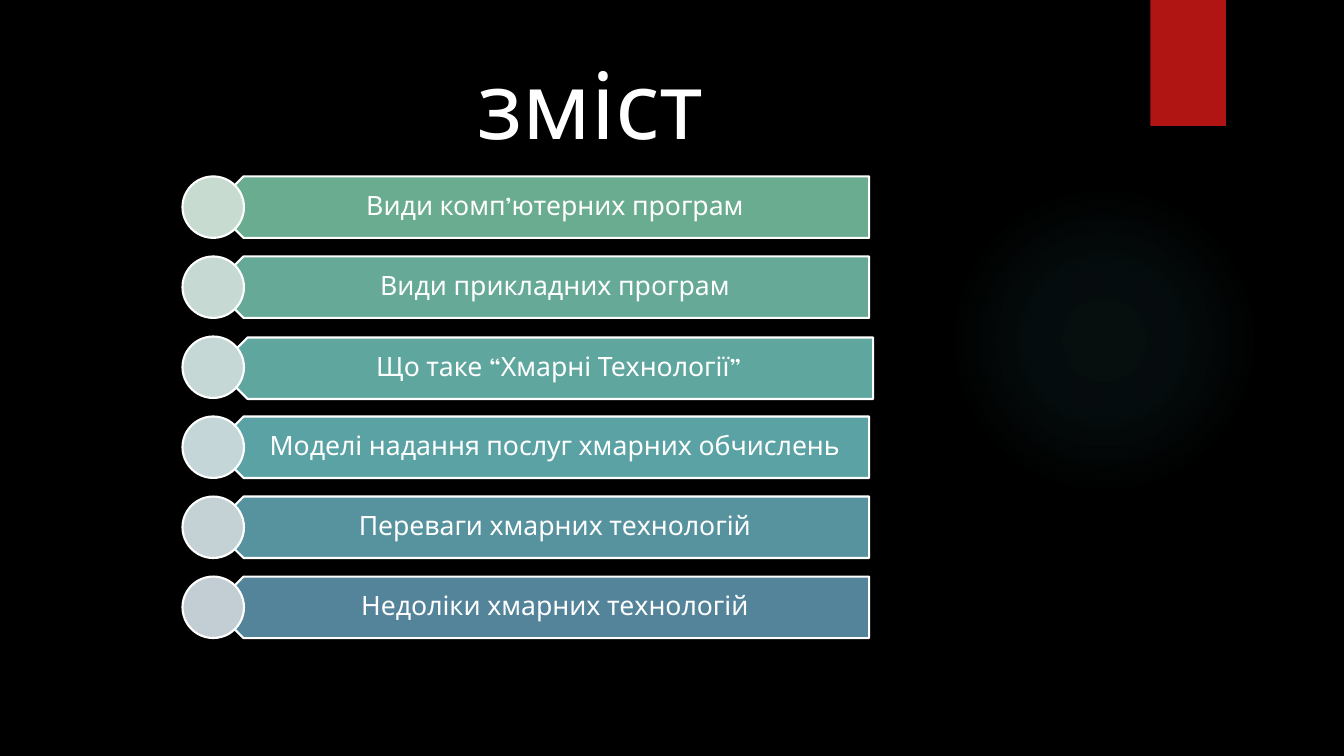
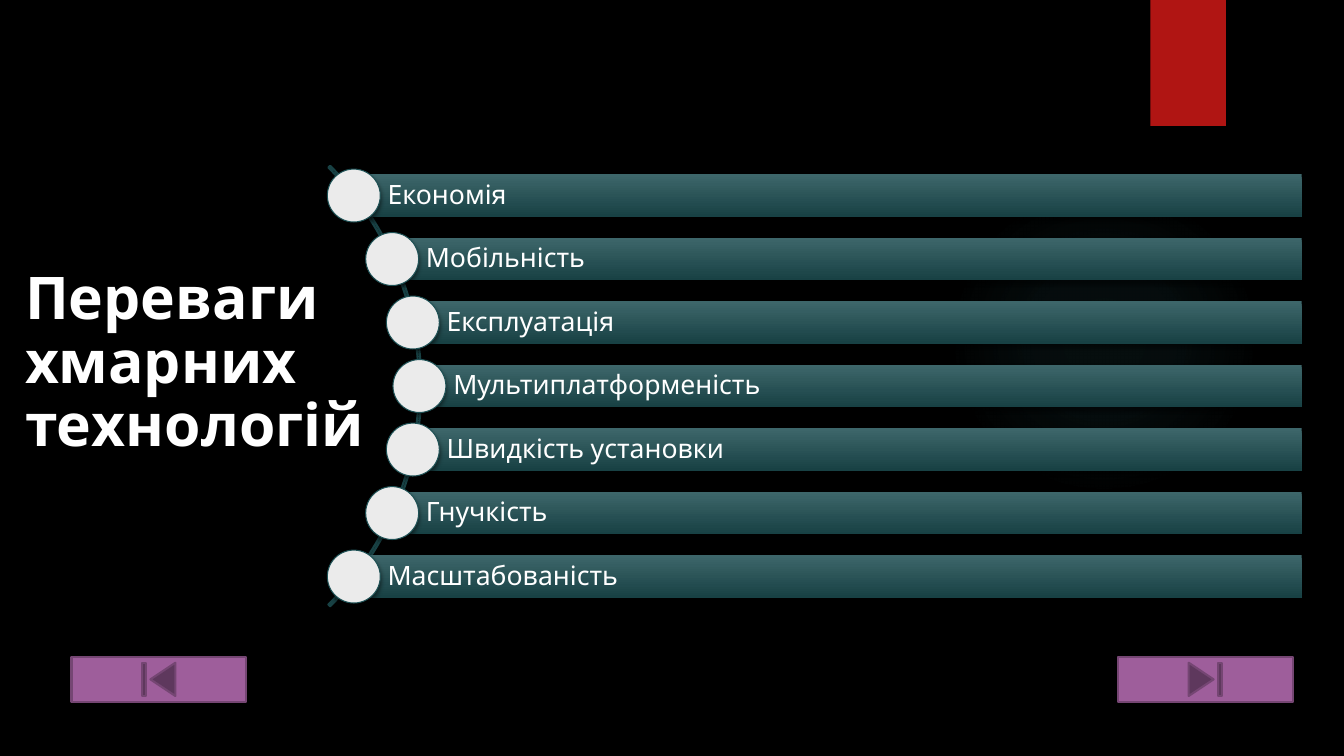
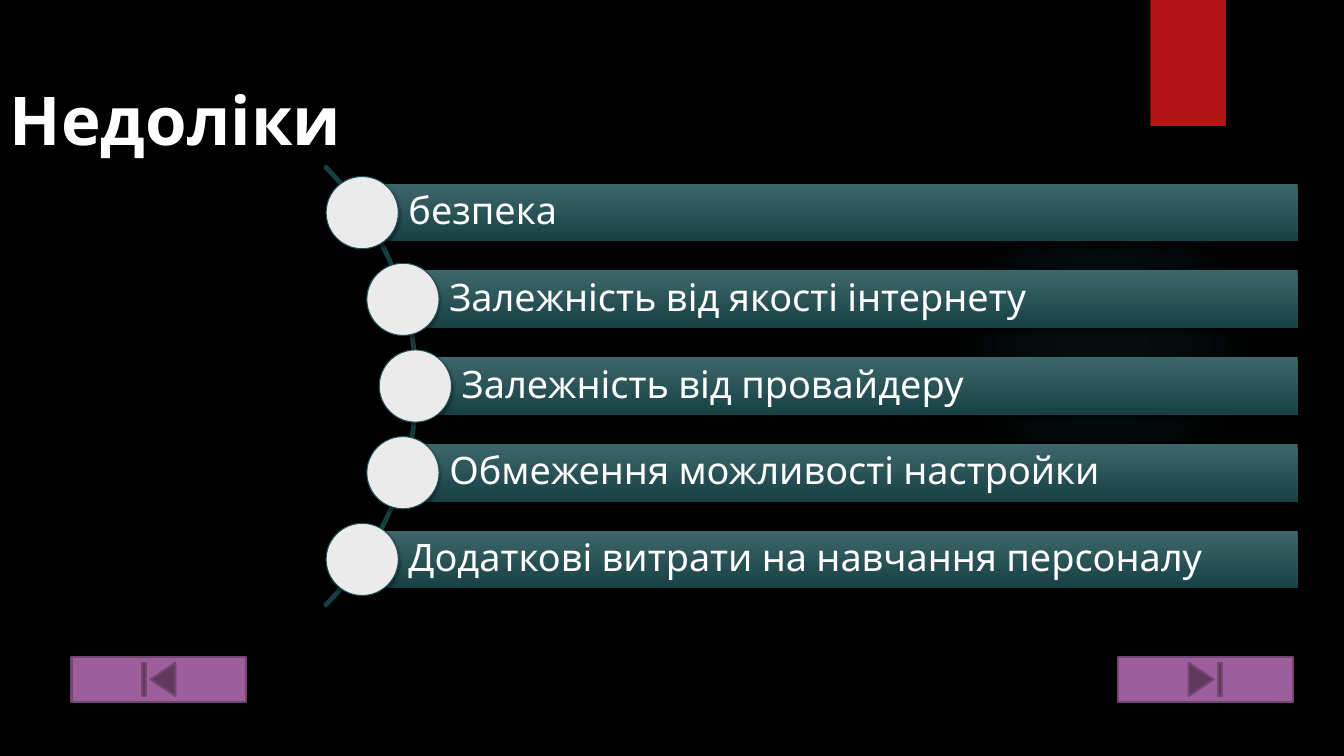
"""Build three dark slides on cloud technologies: contents, advantages and drawbacks."""
import math

import lxml.etree
import pptx
import pptx.dml.color
import pptx.enum.shapes
import pptx.enum.text
import pptx.oxml.ns
import pptx.util

RGB = pptx.dml.color.RGBColor
KIND = pptx.enum.shapes.MSO_SHAPE
ALIGN = pptx.enum.text.PP_ALIGN
ANCHOR = pptx.enum.text.MSO_ANCHOR
Inches, Pt, qn = pptx.util.Inches, pptx.util.Pt, pptx.oxml.ns.qn

FONT = "League Spartan"
BLACK = RGB(0x00, 0x00, 0x00)
WHITE = RGB(0xFF, 0xFF, 0xFF)
RED = RGB(0xB0, 0x15, 0x13)
GLOW = RGB(0x50, 0xB9, 0xC1)
BAR_TOP = RGB(0x3D, 0x66, 0x6A)
BAR_BOTTOM = RGB(0x18, 0x41, 0x44)
DOT = RGB(0xEB, 0xEB, 0xEB)
DOT_EDGE = RGB(0x1E, 0x51, 0x55)
BUTTON = RGB(0x9E, 0x5E, 0x9B)
BUTTON_EDGE = RGB(0x75, 0x46, 0x73)

CONTENTS_TITLE = "зміст"
CONTENTS = [
    ("Види комп’ютерних програм", RGB(0x6A, 0xAC, 0x90), RGB(0xC7, 0xDB, 0xD1), 0),
    ("Види прикладних програм", RGB(0x65, 0xA9, 0x96), RGB(0xC6, 0xD9, 0xD3), 0),
    ("Що таке “Хмарні Технології”", RGB(0x5F, 0xA7, 0x9E), RGB(0xC5, 0xD8, 0xD6), 0.04),
    ("Моделі надання послуг хмарних обчислень", RGB(0x5A, 0xA2, 0xA4), RGB(0xC4, 0xD6, 0xD7), 0),
    ("Переваги хмарних технологій", RGB(0x57, 0x93, 0x9F), RGB(0xC4, 0xD2, 0xD6), 0),
    ("Недоліки хмарних технологій", RGB(0x54, 0x84, 0x9A), RGB(0xC3, 0xCE, 0xD4), 0),
]
CURVED_LISTS = [
    dict(title="Переваги хмарних технологій", title_at=(0.15, 2.58), title_size=42,
         arc_left=-2, pitch=0.63, size=19,
         items=["Економія", "Мобільність", "Експлуатація", "Мультиплатформеність",
                "Швидкість установки", "Гнучкість", "Масштабованість"]),
    dict(title="Недоліки", title_at=(0, 0.78), title_size=48,
         arc_left=-2.04, pitch=0.86, size=27,
         items=["безпека", "Залежність від якості інтернету", "Залежність від провайдеру",
                "Обмеження можливості настройки", "Додаткові витрати на навчання персоналу"]),
]
NAVIGATION = [(KIND.ACTION_BUTTON_END, 11.09), (KIND.ACTION_BUTTON_BEGINNING, 0.71)]


def draw(slide, kind, box, fill=None, edge=None, edge_width=1.5, shadow=False):
    shape = slide.shapes.add_shape(kind, *map(Inches, box))
    shape.shadow.inherit = False
    if isinstance(fill, tuple) and not isinstance(fill, RGB):
        shape.fill.gradient()
        shape.fill.gradient_angle = 270
        for stop, colour in zip(shape.fill.gradient_stops, fill):
            stop.color.rgb = colour
    elif fill is None:
        shape.fill.background()
    else:
        shape.fill.solid()
        shape.fill.fore_color.rgb = fill
    if edge is None:
        shape.line.fill.background()
    else:
        shape.line.color.rgb = edge
        shape.line.width = Pt(edge_width)
    if shadow:
        effects = shape._element.spPr.find(qn("a:effectLst"))
        outer = lxml.etree.SubElement(effects, qn("a:outerShdw"), blurRad=str(Pt(3)),
                                      dist=str(Pt(2)), dir="5400000", rotWithShape="0")
        tint = lxml.etree.SubElement(outer, qn("a:srgbClr"), val=str(BLACK))
        lxml.etree.SubElement(tint, qn("a:alpha"), val="45000")
    return shape


def write(shape, text, *, size, bold=False, align=ALIGN.LEFT, anchor=ANCHOR.MIDDLE,
          insets=(0.1, 0.05, 0.1, 0.05)):
    frame = shape.text_frame
    frame.word_wrap = True
    frame.vertical_anchor = anchor
    (frame.margin_left, frame.margin_top,
     frame.margin_right, frame.margin_bottom) = map(Inches, insets)
    paragraph = frame.paragraphs[0]
    paragraph.alignment = align
    paragraph.line_spacing = 0.9
    run = paragraph.add_run()
    run.text = text
    run.font.name, run.font.size, run.font.bold = FONT, Pt(size), bold
    run.font.color.rgb = WHITE


def add_glow(slide):
    glow = draw(slide, KIND.OVAL, (9.41, 1.83, 3.08, 3.08), (GLOW, GLOW))
    gradient = glow._element.spPr.find(qn("a:gradFill"))
    for part in list(gradient):
        gradient.remove(part)
    stops = lxml.etree.SubElement(gradient, qn("a:gsLst"))
    for position, opacity in [(0, 7), (36, 6), (69, 0)]:
        stop = lxml.etree.SubElement(stops, qn("a:gs"), pos=str(position * 1000))
        colour = lxml.etree.SubElement(stop, qn("a:srgbClr"), val=str(GLOW))
        lxml.etree.SubElement(colour, qn("a:alpha"), val=str(opacity * 1000))
    radial = lxml.etree.SubElement(gradient, qn("a:path"), path="circle")
    lxml.etree.SubElement(radial, qn("a:fillToRect"), l="50000", t="50000", r="50000", b="50000")


def start_slide(deck, title, box, **title_format):
    slide = deck.slides.add_slide(deck.slide_layouts[6])
    slide.background.fill.solid()
    slide.background.fill.fore_color.rgb = BLACK
    add_glow(slide)
    draw(slide, KIND.RECTANGLE, (11.41, 0, 0.75, 1.25), RED, shadow=True)
    write(slide.shapes.add_textbox(*map(Inches, box)), title, anchor=ANCHOR.TOP,
          insets=(0.1, 0.09, 0.1, 0.05), **title_format)
    return slide


def add_contents(deck):
    slide = start_slide(deck, CONTENTS_TITLE, (0.71, 0.5, 10.29, 1.53), size=66, align=ALIGN.CENTER)
    top, pitch, height = 1.75, 0.794, 0.61
    for row, (topic, bar_colour, dot_colour, nudge) in enumerate(CONTENTS):
        y = top + row * pitch
        bar_y = y + nudge / 4
        bar = draw(slide, KIND.PENTAGON, (2.11 + nudge, bar_y, 6.51, height), bar_colour, WHITE)
        bar.rotation = 180
        label = slide.shapes.add_textbox(*map(Inches, (2.27 + nudge, bar_y, 6.35, height)))
        write(label, topic, size=19, align=ALIGN.CENTER, insets=(0.27, 0.08, 0.15, 0.08))
        draw(slide, KIND.OVAL, (1.81, y, height, height), dot_colour, WHITE)


def add_curved_list(deck, title, title_at, title_size, arc_left, pitch, size, items):
    slide = start_slide(deck, title, (*title_at, 3.61, 2.2), size=title_size, bold=True)
    arc_top, diameter, radius = 0.74, 6.18, 3.07
    arc = draw(slide, KIND.BLOCK_ARC, (arc_left, arc_top, diameter, diameter), edge=BAR_BOTTOM)
    for index, value in enumerate((189, 27, 0.004)):
        arc.adjustments[index] = value
    centre_x, centre_y = arc_left + diameter / 2, arc_top + diameter / 2
    right = arc_left + 14.91
    bar_height = pitch * 2 / 3
    dot = bar_height * 1.25
    pad = bar_height / 8
    for row, item in enumerate(items):
        offset = (row - (len(items) - 1) / 2) * pitch
        x = centre_x + math.sqrt(radius ** 2 - offset ** 2)
        y = centre_y + offset
        bar = draw(slide, KIND.RECTANGLE, (x, y - bar_height / 2, right - x, bar_height),
                   (BAR_TOP, BAR_BOTTOM), shadow=True)
        write(bar, item, size=size, insets=(bar_height * 0.8, pad, pad, pad))
        draw(slide, KIND.OVAL, (x - dot / 2, y - dot / 2, dot, dot), DOT, DOT_EDGE, 0.75, shadow=True)
    for kind, left in NAVIGATION:
        draw(slide, kind, (left, 6.52, 1.73, 0.44), BUTTON, BUTTON_EDGE)


def main():
    deck = pptx.Presentation()
    deck.slide_width, deck.slide_height = Inches(13.33), Inches(7.5)
    add_contents(deck)
    for curved_list in CURVED_LISTS:
        add_curved_list(deck, **curved_list)
    deck.save("out.pptx")


if __name__ == "__main__":
    main()
